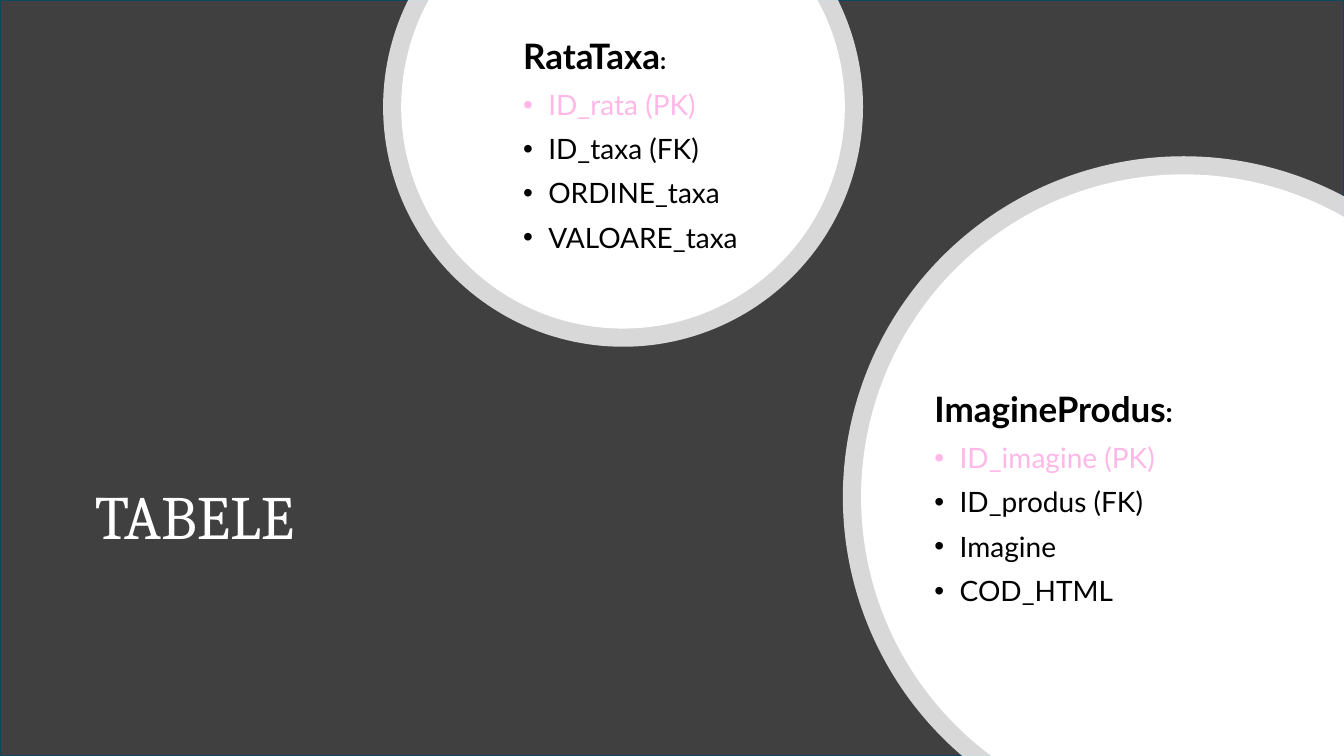
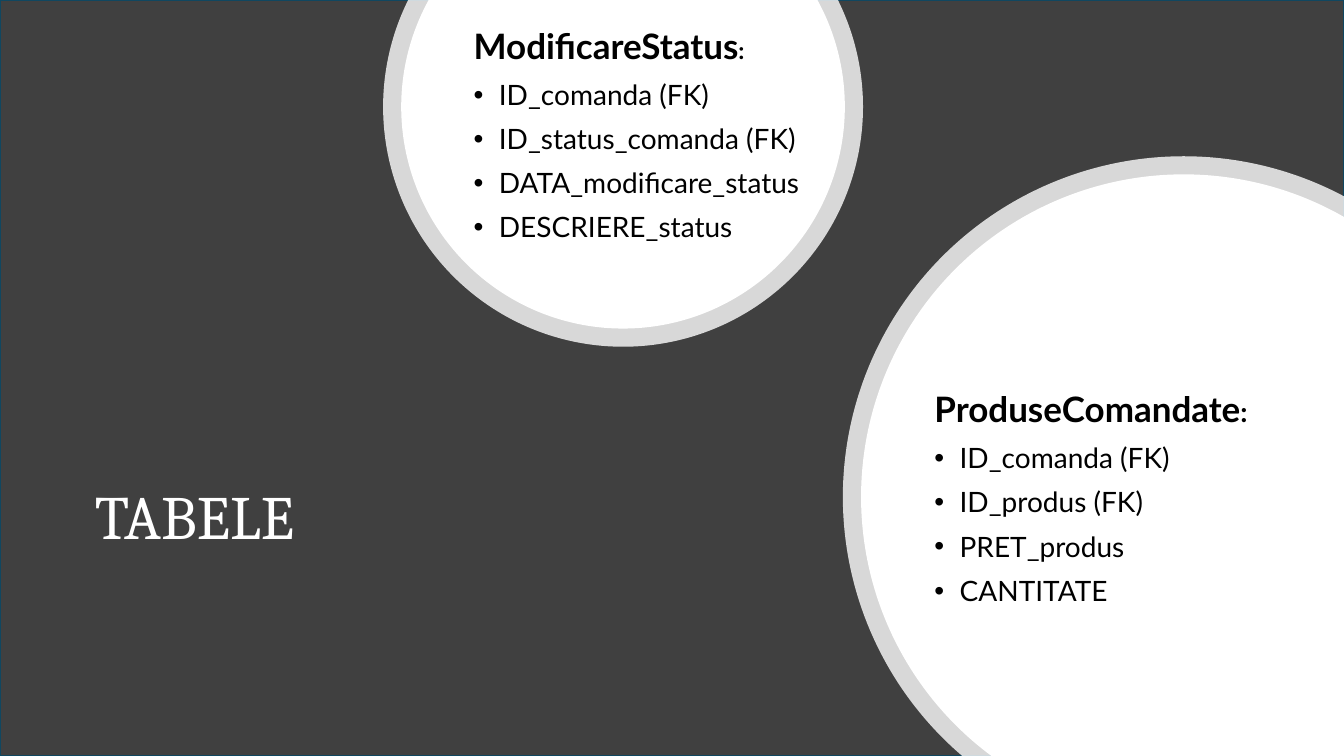
from dataclasses import dataclass
from math import acos, asin, cos, degrees, radians, sin

from lxml.etree import SubElement
from pptx import Presentation
from pptx.dml.color import RGBColor
from pptx.enum.shapes import MSO_SHAPE
from pptx.enum.text import MSO_ANCHOR, MSO_AUTO_SIZE, PP_ALIGN
from pptx.oxml.ns import qn
from pptx.presentation import Presentation as Deck
from pptx.shapes.base import BaseShape
from pptx.slide import Slide
from pptx.text.text import TextFrame
from pptx.util import Inches, Pt

WHITE = RGBColor(0xFF, 0xFF, 0xFF)
BLACK = RGBColor(0x00, 0x00, 0x00)
CHARCOAL = RGBColor(0x40, 0x40, 0x40)
TEAL = RGBColor(0x10, 0x47, 0x60)
PINK = RGBColor(0xFF, 0xB8, 0xE7)

TITLE_FONT = "Cambria"
BODY_FONT = "Lato"
SLIDE_WIDTH = 13.33
SLIDE_HEIGHT = 7.5
RING_WIDTH = 0.18
RING_OPACITY = 80
ANGLE_UNITS = 60000
BULLET_INDENT = Inches(0.25)


@dataclass(frozen=True)
class Box:
    left: float
    top: float
    width: float
    height: float


@dataclass(frozen=True)
class Disc:
    center_x: float
    center_y: float
    radius: float

    def shrunk(self, margin: float) -> "Disc":
        return Disc(self.center_x, self.center_y, self.radius - margin)

    def meets_corner(self) -> bool:
        return self.center_x + self.radius > SLIDE_WIDTH

    def visible_box(self) -> Box:
        left = self.center_x - self.radius
        top = max(self.center_y - self.radius, 0)
        right = min(self.center_x + self.radius, SLIDE_WIDTH)
        bottom = min(self.center_y + self.radius, SLIDE_HEIGHT)
        return Box(left, top, right - left, bottom - top)

    def visible_arc(self) -> tuple[float, float]:
        if self.meets_corner():
            start = 180 - degrees(asin((SLIDE_HEIGHT - self.center_y) / self.radius))
            end = 360 - degrees(acos((SLIDE_WIDTH - self.center_x) / self.radius))
        else:
            start = -degrees(asin(self.center_y / self.radius))
            end = 180 - start
        return start, end


@dataclass(frozen=True)
class Entity:
    name: str
    fields: tuple[str, ...]
    box: Box
    colon_size: int


TITLE_BOX = Box(0.84, 3.83, 6.62, 2.65)
LOWER_BOX = Box(9.17, 3.44, 3.8, 3.04)
UPPER_DISC = Disc(6.18, 1.06, 2.38)
LOWER_DISC = Disc(11.74, 4.93, 3.38)

SLIDES = (
    (
        Entity("RataTaxa", ("ID_rata (PK)", "ID_taxa (FK)", "ORDINE_taxa", "VALOARE_taxa"),
               Box(5.09, 0, 3.76, 2.91), 17),
        Entity("ImagineProdus", ("ID_imagine (PK)", "ID_produs (FK)", "Imagine", "COD_HTML"),
               LOWER_BOX, 20),
    ),
    (
        Entity("ModificareStatus",
               ("ID_comanda (FK)", "ID_status_comanda (FK)", "DATA_modificare_status", "DESCRIERE_status"),
               Box(4.6, -0.35, 3.95, 3.41), 17),
        Entity("ProduseComandate", ("ID_comanda (FK)", "ID_produs (FK)", "PRET_produs", "CANTITATE"),
               LOWER_BOX, 20),
    ),
)


def place(shape: BaseShape, box: Box) -> None:
    shape.left, shape.top = Inches(box.left), Inches(box.top)
    shape.width, shape.height = Inches(box.width), Inches(box.height)


def prepare_frame(frame: TextFrame) -> None:
    frame.word_wrap = True
    frame.auto_size = MSO_AUTO_SIZE.NONE
    frame.vertical_anchor = MSO_ANCHOR.MIDDLE


def add_run(paragraph, text: str, size: int, color: RGBColor,
            font: str = BODY_FONT, bold: bool = False) -> None:
    run = paragraph.add_run()
    run.text = text
    run.font.name = font
    run.font.size = Pt(size)
    run.font.bold = bold
    run.font.color.rgb = color


def add_bullet(paragraph) -> None:
    properties = paragraph._p.get_or_add_pPr()
    properties.set("marL", str(BULLET_INDENT))
    properties.set("indent", str(-BULLET_INDENT))
    SubElement(properties, qn("a:buFont")).set("typeface", "Arial")
    SubElement(properties, qn("a:buChar")).set("char", "•")


def add_backdrop(slide: Slide) -> None:
    backdrop = slide.shapes.add_shape(
        MSO_SHAPE.RECTANGLE, 0, 0, Inches(SLIDE_WIDTH), Inches(SLIDE_HEIGHT))
    backdrop.shadow.inherit = False
    backdrop.fill.solid()
    backdrop.fill.fore_color.rgb = CHARCOAL
    backdrop.line.color.rgb = TEAL
    backdrop.line.width = Pt(1.5)
    slide.shapes.title.element.addprevious(backdrop.element)


def format_title(slide: Slide) -> None:
    title = slide.shapes.title
    place(title, TITLE_BOX)
    prepare_frame(title.text_frame)
    paragraph = title.text_frame.paragraphs[0]
    paragraph.alignment = PP_ALIGN.LEFT
    paragraph.line_spacing = 0.9
    add_run(paragraph, "TABELE", 44, WHITE, TITLE_FONT)


def add_point(outline, command: str, x: float, y: float) -> None:
    point = SubElement(SubElement(outline, qn(command)), qn("a:pt"))
    point.set("x", str(Inches(x)))
    point.set("y", str(Inches(y)))


def draw_arc(outline, disc: Disc) -> None:
    box = disc.visible_box()
    start, end = disc.visible_arc()
    for segment in list(outline):
        outline.remove(segment)
    add_point(outline, "a:moveTo",
              disc.center_x + disc.radius * cos(radians(start)) - box.left,
              disc.center_y + disc.radius * sin(radians(start)) - box.top)
    arc = SubElement(outline, qn("a:arcTo"))
    arc.set("wR", str(Inches(disc.radius)))
    arc.set("hR", str(Inches(disc.radius)))
    arc.set("stAng", str(round(start % 360 * ANGLE_UNITS)))
    arc.set("swAng", str(round((end - start) * ANGLE_UNITS)))
    if disc.meets_corner():
        add_point(outline, "a:lnTo", box.width, box.height)
    SubElement(outline, qn("a:close"))


def add_clipped_disc(slide: Slide, disc: Disc, opacity: int = 100) -> None:
    box = disc.visible_box()
    left, top = Inches(box.left), Inches(box.top)
    right, bottom = left + Inches(box.width), top + Inches(box.height)
    builder = slide.shapes.build_freeform(left, top)
    builder.add_line_segments(((right, top), (right, bottom), (left, bottom)), close=True)
    shape = builder.convert_to_shape()
    draw_arc(next(shape.element.iter(qn("a:path"))), disc)
    shape.shadow.inherit = False
    shape.fill.solid()
    shape.fill.fore_color.rgb = WHITE
    shape.line.fill.background()
    if opacity < 100:
        color = next(shape.element.iter(qn("a:srgbClr")))
        SubElement(color, qn("a:alpha")).set("val", str(opacity * 1000))


def add_entity(slide: Slide, entity: Entity) -> None:
    text_box = slide.shapes.add_textbox(0, 0, 0, 0)
    place(text_box, entity.box)
    frame = text_box.text_frame
    prepare_frame(frame)
    heading = frame.paragraphs[0]
    add_run(heading, entity.name, 25, BLACK, bold=True)
    add_run(heading, ":", entity.colon_size, BLACK, bold=True)
    for field in entity.fields:
        color = PINK if field.endswith("(PK)") else BLACK
        add_run(frame.add_paragraph(), field, 20, color)
    for paragraph in frame.paragraphs:
        paragraph.line_spacing = 0.9
        paragraph.space_before = Pt(10)
    for paragraph in frame.paragraphs[1:]:
        add_bullet(paragraph)


def add_tables_slide(presentation: Deck, entities: tuple[Entity, ...]) -> None:
    slide = presentation.slides.add_slide(presentation.slide_layouts.get_by_name("Title Only"))
    add_backdrop(slide)
    format_title(slide)
    for disc, entity in zip((UPPER_DISC, LOWER_DISC), entities):
        add_clipped_disc(slide, disc, RING_OPACITY)
        add_clipped_disc(slide, disc.shrunk(RING_WIDTH))
        add_entity(slide, entity)


def main() -> None:
    presentation = Presentation()
    presentation.slide_width = Inches(SLIDE_WIDTH)
    presentation.slide_height = Inches(SLIDE_HEIGHT)
    for entities in SLIDES:
        add_tables_slide(presentation, entities)
    presentation.save("out.pptx")


if __name__ == "__main__":
    main()
